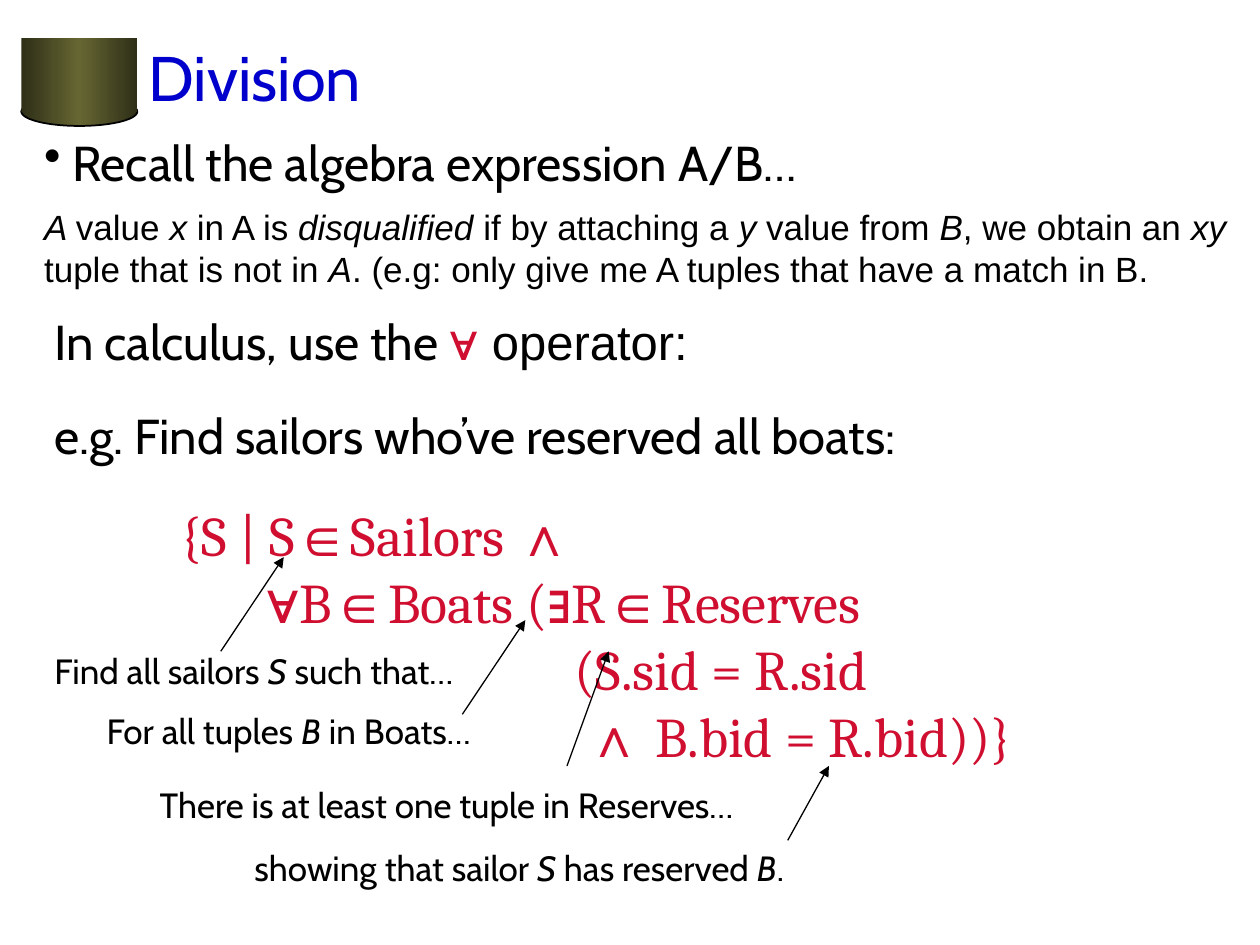
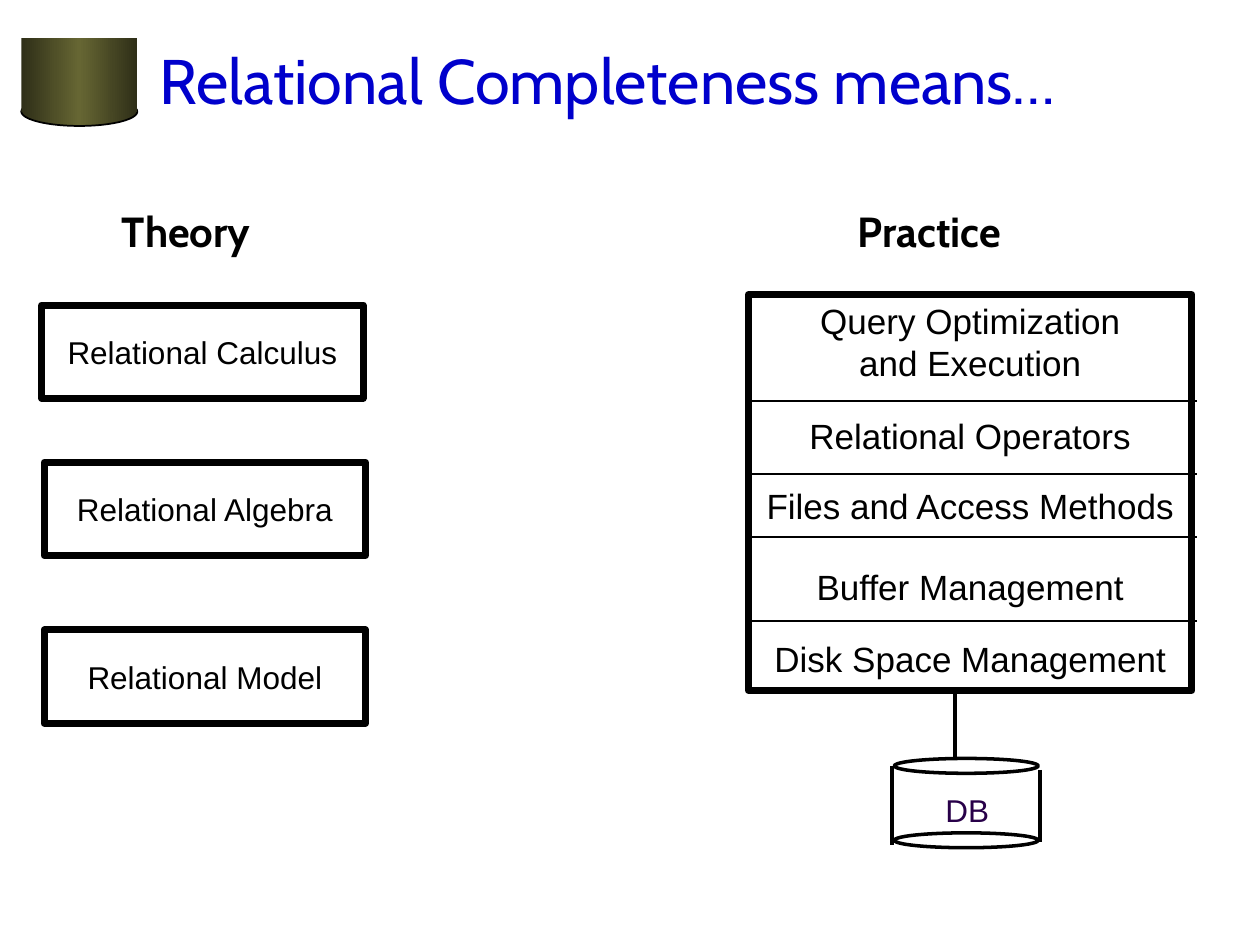
"""Build two slides on relational calculus: division and relational completeness."""
from copy import deepcopy

from pptx import Presentation
from pptx.dml.color import RGBColor
from pptx.enum.shapes import MSO_CONNECTOR as Connector, MSO_SHAPE as Preset
from pptx.enum.text import MSO_ANCHOR as Anchor, MSO_AUTO_SIZE as AutoSize, PP_ALIGN as Align
from pptx.oxml.ns import qn
from pptx.oxml.xmlchemy import OxmlElement
from pptx.util import Cm, Pt

COLORS = {
    "title": "0000CC",
    "text": "000000",
    "formula": "CF0E30",
    "database": "280049",
    "drum edge": "2F2F18",
    "drum middle": "666633",
}
HEADING_FONT, PLAIN_FONT, FORMULA_FONT = "Cabin", "Arial", "Cambria"
ITALIC = {"italic": True}
SYMBOL = {"font": PLAIN_FONT}


def write_text(shape, paragraphs, size, font=HEADING_FONT, color="text", align=Align.LEFT,
               wrap=True, bold=None):
    """Write paragraphs, each a list of (text, style changes), into a shape."""
    frame = shape.text_frame
    frame.word_wrap = wrap
    frame.auto_size = AutoSize.NONE
    for index, runs in enumerate(paragraphs):
        paragraph = frame.add_paragraph() if index else frame.paragraphs[0]
        paragraph.alignment = align
        paragraph.space_before = Pt(0)
        for text, style in runs:
            run = paragraph.add_run()
            run.text = text
            run.font.name = style.get("font", font)
            run.font.size = Pt(size)
            run.font.bold = bold
            run.font.italic = style.get("italic")
            run.font.color.rgb = RGBColor.from_string(COLORS[style.get("color", color)])


def draw_line(slide, start, end, width, arrow=False):
    """Draw a straight black line between two points in centimetres."""
    line = slide.shapes.add_connector(Connector.STRAIGHT, *map(Cm, start + end))
    line.line.color.rgb = RGBColor.from_string(COLORS["text"])
    line.line.width = Pt(width)
    if arrow:
        tail = OxmlElement("a:tailEnd")
        tail.set("type", "triangle")
        line.line._get_or_add_ln().append(tail)
    line.element.spPr.append(OxmlElement("a:effectLst"))


presentation = Presentation()
presentation.slide_width, presentation.slide_height = Cm(25.4), Cm(19.05)
layout = presentation.slide_layouts[1]

slides = []
for title, title_box, body_box in (
    ("Division", (2.74, 0, 22.66, 3.07), (0.84, 13.13, 9.73, 1.07)),
    ("Relational Completeness means…", (2.97, 0, 21.59, 3.18), (17.04, 4.01, 5.08, 1.7)),
):
    slide = presentation.slides.add_slide(layout)
    slides.append(slide)
    for placeholder, box in zip(slide.placeholders, (title_box, body_box)):
        placeholder.left, placeholder.top, placeholder.width, placeholder.height = map(Cm, box)
    slide.shapes.title.text_frame.vertical_anchor = Anchor.MIDDLE
    write_text(slide.shapes.title, [[(title, {})]], 36, color="title")
    properties = slide.placeholders[1].text_frame.paragraphs[0]._p.get_or_add_pPr()
    properties.set("marL", "0")
    properties.set("indent", "0")
    properties.append(OxmlElement("a:buNone"))
division, completeness = slides

for number, (preset, box) in enumerate((
    (Preset.OVAL, (0.43, 1.96, 2.34, 0.58)),
    (Preset.RECTANGLE, (0.43, 0.76, 2.34, 1.5)),
)):
    drum = division.shapes.add_shape(preset, *map(Cm, box))
    drum.shadow.inherit = False
    drum.fill.gradient()
    drum.fill.gradient_angle = 0
    stop_list = drum.element.spPr.find(".//" + qn("a:gsLst"))
    stop_list.append(deepcopy(stop_list[0]))
    for stop, position, shade in zip(drum.fill.gradient_stops, (0, 0.5, 1),
                                     ("drum edge", "drum middle", "drum edge")):
        stop.position = position
        stop.color.rgb = RGBColor.from_string(COLORS[shade])
    if preset == Preset.OVAL:
        drum.line.color.rgb = RGBColor.from_string(COLORS["text"])
        drum.line.width = Pt(1)
    else:
        drum.line.fill.background()
    drum.element.nvSpPr.cNvPr.set("id", str(20 + number))
    presentation.slide_master.shapes.element.append(drum.element)

find_sailors = division.placeholders[1]
write_text(find_sailors, [[("Find all sailors ", {}), ("S", ITALIC), (" such that…", {})]], 20)
find_sailors.text_frame.paragraphs[0].line_spacing = 0.8

recall = division.shapes.add_textbox(*map(Cm, (0.64, 2.54, 21.79, 1.45)))
recall_properties = recall.text_frame.paragraphs[0]._p.get_or_add_pPr()
recall_properties.set("marL", str(Cm(0.57)))
recall_properties.set("indent", str(-Cm(0.57)))
bullet = OxmlElement("a:buChar")
bullet.set("char", "•")
recall_properties.append(bullet)
write_text(recall, [[("Recall the algebra expression A/B…", {})]], 28)

for box, size, font, runs in (
    ((0.64, 4.01, 24.77, 1.96), 20, PLAIN_FONT, [
        ("A ", ITALIC), ("value ", {}), ("x", ITALIC), (" in A is ", {}),
        ("disqualified", ITALIC), (" if by attaching a ", {}), ("y ", ITALIC),
        ("value from ", {}), ("B", ITALIC), (", we obtain an ", {}), ("xy", ITALIC),
        (" tuple that is not in ", {}), ("A", ITALIC),
        (". (e.g: only give me A tuples that have a match in B.", {})]),
    ((0.84, 6.15, 21.79, 1.45), 28, HEADING_FONT, [
        ("In calculus, use the ", {}), ("∀ ", {"font": PLAIN_FONT, "color": "formula"}),
        ("operator:", SYMBOL)]),
    ((0.84, 8.05, 21.79, 1.45), 28, HEADING_FONT, [
        ("e.g. Find sailors who’ve reserved all boats:", {})]),
    ((1.9, 14.17, 8.69, 1.07), 20, HEADING_FONT, [
        ("For all tuples ", {}), ("B", ITALIC), (" in Boats…", {})]),
    ((2.97, 15.67, 13.34, 1.07), 20, HEADING_FONT, [
        ("There is at least one tuple in Reserves…", {})]),
    ((4.88, 16.94, 13.34, 1.07), 20, HEADING_FONT, [
        ("showing that sailor ", {}), ("S", ITALIC), (" has reserved ", {}),
        ("B", ITALIC), (".", {})]),
):
    write_text(division.shapes.add_textbox(*map(Cm, box)), [runs], size, font)

formula = division.shapes.add_textbox(*map(Cm, (3.38, 9.96, 18.9, 5.69)))
write_text(formula, [
    [("{S | S", {}), ("∈", SYMBOL), ("Sailors ", {}), ("∧", SYMBOL)],
    [("∀", SYMBOL), ("B", {}), ("∈", SYMBOL), ("Boats (", {}), ("∃", SYMBOL), ("R", {}),
     ("∈", SYMBOL), ("Reserves", {})],
    [("(S.sid = R.sid", {})],
    [("∧", SYMBOL), (" B.bid = R.bid))}", {})],
], 32, FORMULA_FONT, "formula")
for paragraph, indent in zip(formula.text_frame.paragraphs, (0, 1.74, 7.95, 8.2)):
    paragraph._p.get_or_add_pPr().set("marL", str(Cm(indent)))

for start, end in (
    ((4.45, 13.13), (5.72, 11.23)),
    ((9.32, 14.4), (10.59, 12.5)),
    ((11.43, 15.44), (12.27, 13.13)),
    ((15.88, 16.94), (16.71, 15.44)),
):
    draw_line(division, start, end, 0.75, arrow=True)

write_text(completeness.placeholders[1], [[("Practice", {})]], 24, bold=True)
theory = completeness.shapes.add_textbox(*map(Cm, (2.21, 4.01, 3.86, 1.27)))
write_text(theory, [[("Theory", {})]], 24, bold=True)

STACK_LEFT, STACK_WIDTH = 15.09, 8.94
for top, height, lines in (
    (5.92, 1.96, ("Query Optimization", "and Execution")),
    (8.23, 1.09, ("Relational Operators",)),
    (9.65, 1.09, ("Files and Access Methods",)),
    (11.28, 1.09, ("Buffer Management",)),
    (12.73, 1.09, ("Disk Space Management",)),
):
    layer = completeness.shapes.add_textbox(Cm(STACK_LEFT), Cm(top), Cm(STACK_WIDTH), Cm(height))
    write_text(layer, [[(line, {})] for line in lines], 20, PLAIN_FONT,
               align=Align.CENTER, wrap=False)

for preset, box, width, label in (
    (Preset.RECTANGLE, (STACK_LEFT, 5.94, STACK_WIDTH, 7.98), 4, None),
    (Preset.OVAL, (18.03, 15.29, 2.9, 0.3), 2, None),
    (Preset.OVAL, (18.03, 16.79, 2.9, 0.3), 2, None),
    (Preset.RECTANGLE, (0.84, 6.15, 6.48, 1.88), 4, "Relational Calculus"),
    (Preset.RECTANGLE, (0.89, 9.32, 6.48, 1.88), 4, "Relational Algebra"),
    (Preset.RECTANGLE, (0.89, 12.7, 6.48, 1.88), 4, "Relational Model"),
):
    shape = completeness.shapes.add_shape(preset, *map(Cm, box))
    shape.shadow.inherit = False
    shape.fill.background()
    shape.line.color.rgb = RGBColor.from_string(COLORS["text"])
    shape.line.width = Pt(width)
    if label:
        shape.text_frame.vertical_anchor = Anchor.MIDDLE
        write_text(shape, [[(label, {})]], 18, PLAIN_FONT, align=Align.CENTER, wrap=False)

for height in (8.08, 9.55, 10.82, 12.52):
    draw_line(completeness, (15.04, height), (24.13, height), 1)
for x, top, bottom in ((17.98, 15.44, 17.04), (20.96, 15.52, 16.97), (19.25, 14, 15.27)):
    draw_line(completeness, (x, top), (x, bottom), 2)

database = completeness.shapes.add_textbox(*map(Cm, (18.8, 15.82, 1.4, 1.02)))
write_text(database, [[("DB", {})]], 18, PLAIN_FONT, "database", Align.CENTER, wrap=False)

presentation.save("out.pptx")
